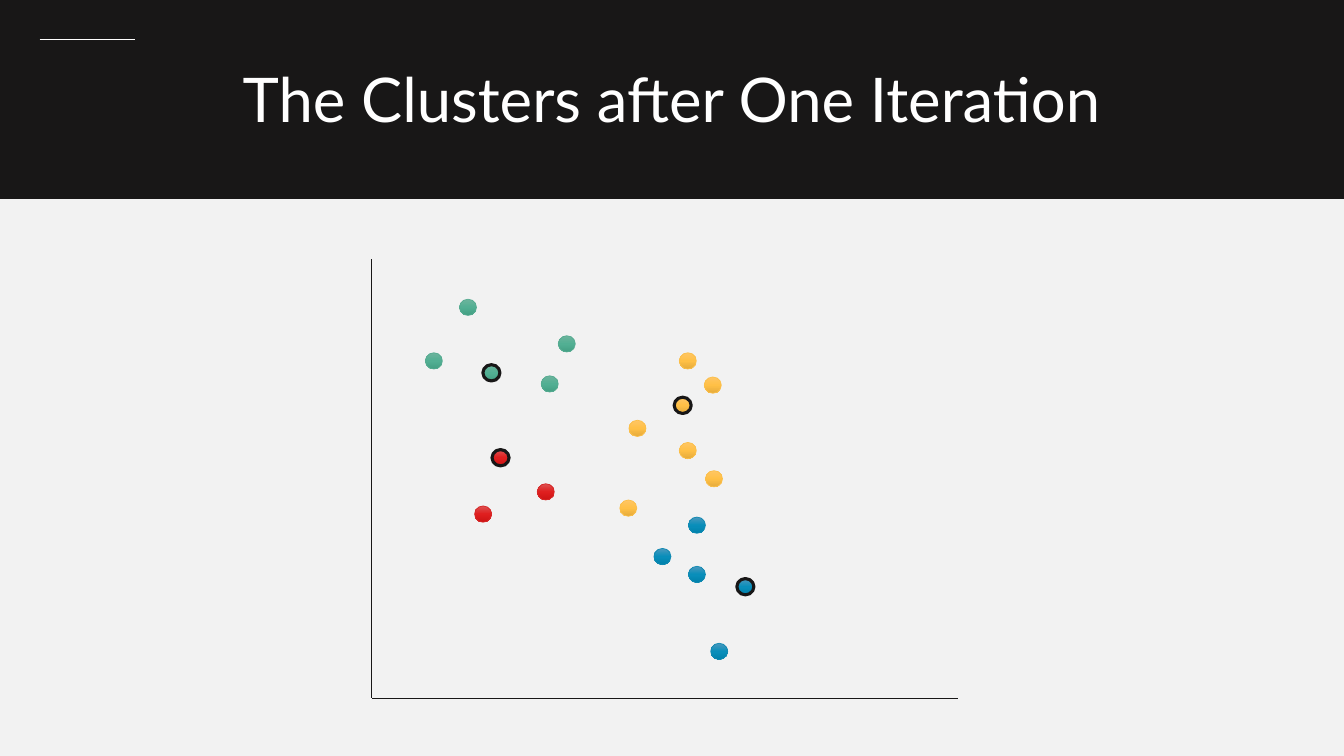
"""Build the slide that shows the clusters after one iteration."""
import copy
import dataclasses
import typing

import pptx
import pptx.dml.color
import pptx.enum.shapes
import pptx.enum.text
import pptx.oxml.ns
import pptx.oxml.xmlchemy
import pptx.util

Cm = pptx.util.Cm
Pt = pptx.util.Pt
RGBColor = pptx.dml.color.RGBColor
Point = tuple[float, float]

INK = RGBColor(0x18, 0x17, 0x17)
PAPER = RGBColor(0xF2, 0xF2, 0xF2)
WHITE = RGBColor(0xFF, 0xFF, 0xFF)
GREEN = RGBColor(0x56, 0xAB, 0x91)
GREENS = (RGBColor(0x6D, 0xB4, 0x9D), RGBColor(0x52, 0xAF, 0x93), RGBColor(0x44, 0xA0, 0x84))
RED = RGBColor(0xD6, 0x28, 0x28)
REDS = (RGBColor(0xDD, 0x52, 0x52), RGBColor(0xDF, 0x1F, 0x1F), RGBColor(0xCE, 0x14, 0x14))
GOLD = RGBColor(0xFC, 0xBF, 0x49)
GOLDS = (RGBColor(0xFF, 0xC6, 0x65), RGBColor(0xFF, 0xC0, 0x46), RGBColor(0xE5, 0xAB, 0x3C))
BLUE = RGBColor(0x11, 0x8A, 0xB2)
BLUES = (RGBColor(0x4C, 0x98, 0xBD), RGBColor(0x09, 0x8E, 0xBA), RGBColor(0x01, 0x82, 0xAC))

WIDE, HIGH = 33.87, 19.05
DOT_W, DOT_H = 0.43, 0.41
THIN, THICK = 0.5, 2.25
TITLE = {"name": "Lato", "size": Pt(44)}


@dataclasses.dataclass(frozen=True)
class Cluster:
    """One colour of dots with its centre, all by top left corner."""

    edge: RGBColor
    shades: tuple[RGBColor, RGBColor, RGBColor]
    centre: Point
    dots: tuple[Point, ...]


CLUSTERS = (
    Cluster(GREEN, GREENS, (12.17, 9.19),
            ((11.58, 7.54), (13.64, 9.47), (10.72, 8.89), (14.07, 8.46))),
    Cluster(RED, REDS, (12.4, 11.33), ((13.54, 12.19), (11.96, 12.75))),
    Cluster(GOLD, GOLDS, (16.99, 10.01),
            ((17.75, 9.5), (17.12, 11.15), (15.85, 10.59),
             (17.12, 8.89), (17.78, 11.86), (15.62, 12.6))),
    Cluster(BLUE, BLUES, (18.57, 14.58),
            ((17.35, 13.03), (16.48, 13.82), (17.35, 14.27), (17.91, 16.21))),
)


def draw_line(shapes: typing.Any, start: Point, end: Point, color: RGBColor) -> None:
    """Draw a thin straight line without a shadow."""
    rule = shapes.add_connector(
        pptx.enum.shapes.MSO_CONNECTOR.STRAIGHT, *map(Cm, start + end))
    rule.line.color.rgb = color
    rule.line.width = Pt(THIN)
    rule._element.spPr.append(pptx.oxml.xmlchemy.OxmlElement("a:effectLst"))


def shade(shape: typing.Any, colors: tuple[RGBColor, ...]) -> None:
    """Fill a shape from top to bottom with three evenly spaced colours."""
    shape.fill.gradient()
    shape.fill.gradient_angle = 270
    first = shape._element.spPr.find(".//" + pptx.oxml.ns.qn("a:gs"))
    first.addnext(copy.deepcopy(first))
    for rank, (stop, color) in enumerate(zip(shape.fill.gradient_stops, colors)):
        stop.position = rank / 2
        stop.color.rgb = color


def draw_dot(shapes: typing.Any, spot: Point, group: Cluster) -> None:
    """Draw one dot, with a thick dark ring if it is the centre."""
    main = spot == group.centre
    dot = shapes.add_shape(
        pptx.enum.shapes.MSO_SHAPE.OVAL, *map(Cm, spot + (DOT_W, DOT_H)))
    dot.shadow.inherit = False
    shade(dot, group.shades)
    dot.line.color.rgb = INK if main else group.edge
    dot.line.width = Pt(THICK if main else THIN)


def draw_head(shapes: typing.Any) -> None:
    """Draw the dark band, its short rule and the title."""
    band = shapes.add_shape(
        pptx.enum.shapes.MSO_SHAPE.RECTANGLE, 0, 0, Cm(WIDE), Cm(5))
    band.shadow.inherit = False
    band.fill.solid()
    band.fill.fore_color.rgb = INK
    band.line.color.rgb = INK
    band.line.width = Pt(1)
    draw_line(shapes, (1, 1), (3.4, 1), WHITE)

    frame = shapes.add_textbox(Cm(3.05), Cm(1.42), Cm(27.76), Cm(2.13)).text_frame
    frame.word_wrap = True
    frame.auto_size = pptx.enum.text.MSO_AUTO_SIZE.SHAPE_TO_FIT_TEXT
    line = frame.paragraphs[0]
    line.alignment = pptx.enum.text.PP_ALIGN.CENTER
    run = line.add_run()
    run.text = "The Clusters after One Iteration"
    for name, value in TITLE.items():
        setattr(run.font, name, value)
    run.font.color.rgb = WHITE


def draw_plot(shapes: typing.Any) -> None:
    """Draw the two axes and every cluster in one group."""
    plot = shapes.add_group_shape().shapes
    base = (9.37, 17.6)
    for end in ((9.37, 6.53), (24.13, 17.6)):
        draw_line(plot, end, base, INK)
    for group in CLUSTERS:
        for spot in (group.centre, *group.dots):
            draw_dot(plot, spot, group)


def main() -> None:
    """Build and save the slide."""
    deck = pptx.Presentation()
    deck.slide_width, deck.slide_height = Cm(WIDE), Cm(HIGH)
    slide = deck.slides.add_slide(deck.slide_layouts[6])
    slide.background.fill.solid()
    slide.background.fill.fore_color.rgb = PAPER
    draw_head(slide.shapes)
    draw_plot(slide.shapes)
    deck.save("out.pptx")


if __name__ == "__main__":
    main()
